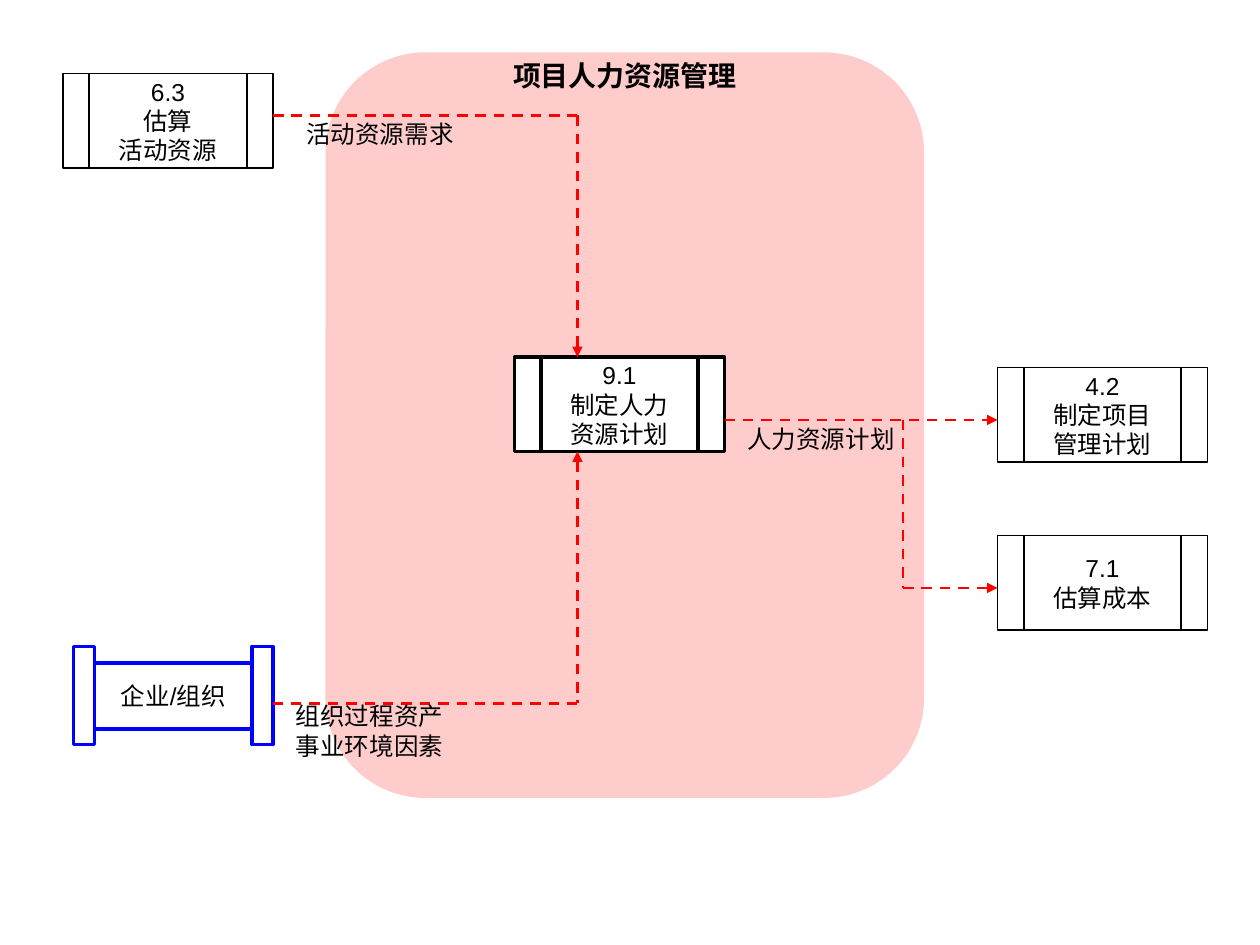
from dataclasses import dataclass
from typing import Optional

from lxml import etree
from pptx import Presentation
from pptx import util as u
from pptx.dml.color import RGBColor
from pptx.enum import dml, shapes, text
from pptx.oxml.ns import qn

BLACK = RGBColor(0x00, 0x00, 0x00)
WHITE = RGBColor(0xFF, 0xFF, 0xFF)
RED = RGBColor(0xFF, 0x00, 0x00)
BLUE = RGBColor(0x00, 0x00, 0xFF)
PINK = RGBColor(0xFF, 0xCC, 0xCC)
FONT = "Arial"
PROCESS_WIDTH, PROCESS_HEIGHT = 120, 54


@dataclass
class Process:
    left: float
    top: float
    lines: list[str]
    border: float = 1


@dataclass
class Label:
    left: float
    top: float
    width: float
    height: float
    lines: list[str]


@dataclass
class Flow:
    start: tuple[float, float]
    end: tuple[float, float]
    arrow: Optional[str] = None  # "a:headEnd" or "a:tailEnd"


PROCESSES = [
    Process(570, 306, ["7.1", "估算成本"]),
    Process(294, 204, ["9.1", "制定人力", "资源计划"], border=2),
    Process(36, 42, ["6.3", "估算", "活动资源"]),
    Process(570, 210, ["4.2", "制定项目", "管理计划"]),
]

LABELS = [
    Label(162, 404.5, 108, 33, ["组织过程资产", "事业环境因素"]),
    Label(168, 72, 174, 16, ["活动资源需求"]),
    Label(420, 246, 174, 16, ["人力资源计划"]),
]

FLOWS = [
    Flow((414, 240), (570, 240), "a:tailEnd"),
    Flow((156, 66), (330, 66)),
    Flow((330, 66), (330, 204), "a:tailEnd"),
    Flow((330, 258), (330, 402), "a:headEnd"),
    Flow((330, 402), (156, 402)),
    Flow((516, 240), (516, 336)),
    Flow((516, 336), (570, 336), "a:tailEnd"),
]


def write_lines(frame, lines: list[str], align=text.PP_ALIGN.LEFT,
                size: float = 14, bold: bool = False) -> None:
    for index, line in enumerate(lines):
        para = frame.paragraphs[0] if index == 0 else frame.add_paragraph()
        para.text = line
        para.alignment = align
        para.font.name = FONT
        para.font.size = u.Pt(size)
        para.font.bold = bold
        para.font.color.rgb = BLACK


def draw_box(parent, kind, left: float, top: float, width: float, height: float,
             fill: RGBColor, line: Optional[RGBColor] = None, border: float = 1,
             lines: Optional[list[str]] = None):
    box = parent.add_shape(kind, u.Pt(left), u.Pt(top), u.Pt(width), u.Pt(height))
    box.shadow.inherit = False
    box.fill.solid()
    box.fill.fore_color.rgb = fill
    if line is None:
        box.line.fill.background()
    else:
        box.line.color.rgb = line
        box.line.width = u.Pt(border)
    if lines:
        frame = box.text_frame
        frame.word_wrap = False
        frame.vertical_anchor = text.MSO_ANCHOR.MIDDLE
        write_lines(frame, lines, text.PP_ALIGN.CENTER)
    return box


def draw_label(parent, label: Label) -> None:
    box = parent.add_textbox(u.Pt(label.left), u.Pt(label.top),
                             u.Pt(label.width), u.Pt(label.height))
    frame = box.text_frame
    frame.word_wrap = True
    frame.auto_size = text.MSO_AUTO_SIZE.SHAPE_TO_FIT_TEXT
    write_lines(frame, label.lines)
    for index, para in enumerate(frame.paragraphs):
        para.line_spacing = 0.5
        para.space_before = u.Pt(8.8 if index else 0)


def draw_flow(parent, flow: Flow) -> None:
    points = [u.Pt(value) for value in (*flow.start, *flow.end)]
    connector = parent.add_connector(shapes.MSO_CONNECTOR.STRAIGHT, *points)
    connector.line.color.rgb = RED
    connector.line.width = u.Pt(1.5)
    connector.line.dash_style = dml.MSO_LINE.DASH
    if flow.arrow:
        outline = connector.line._get_or_add_ln()
        etree.SubElement(outline, qn(flow.arrow), type="triangle")
    etree.SubElement(connector._element.spPr, qn("a:effectLst"))


def draw_organization(parent) -> None:
    group = parent.add_group_shape().shapes
    rectangle = shapes.MSO_SHAPE.RECTANGLE
    draw_box(group, rectangle, 54, 379, 90, 37.5, WHITE, BLUE, 2, ["企业/组织"])
    for left in (42, 144):
        draw_box(group, rectangle, left, 369.5, 12, 56, WHITE, BLUE, 2)


def main() -> None:
    deck = Presentation()
    deck.slide_width, deck.slide_height = u.Pt(720), u.Pt(540)
    page = deck.slides.add_slide(deck.slide_layouts[5])
    parts = page.shapes

    # Knowledge area panel, placed behind its title
    panel = draw_box(parts, shapes.MSO_SHAPE.ROUNDED_RECTANGLE,
                     186, 30, 342, 426, PINK)
    title = parts.title
    title._element.addprevious(panel._element)
    title.left, title.top = u.Pt(276), u.Pt(30)
    title.width, title.height = u.Pt(162), u.Pt(26.5)
    title.text_frame.vertical_anchor = text.MSO_ANCHOR.MIDDLE
    title.text_frame.auto_size = text.MSO_AUTO_SIZE.NONE
    write_lines(title.text_frame, ["项目人力资源管理"],
                text.PP_ALIGN.CENTER, size=16, bold=True)

    # Processes and the organization
    for process in PROCESSES:
        draw_box(parts, shapes.MSO_SHAPE.FLOWCHART_PREDEFINED_PROCESS,
                 process.left, process.top, PROCESS_WIDTH, PROCESS_HEIGHT,
                 WHITE, BLACK, process.border, process.lines)
    draw_organization(parts)

    # Data flows and their labels
    for flow in FLOWS:
        draw_flow(parts, flow)
    for label in LABELS:
        draw_label(parts, label)

    deck.save("out.pptx")


if __name__ == "__main__":
    main()
